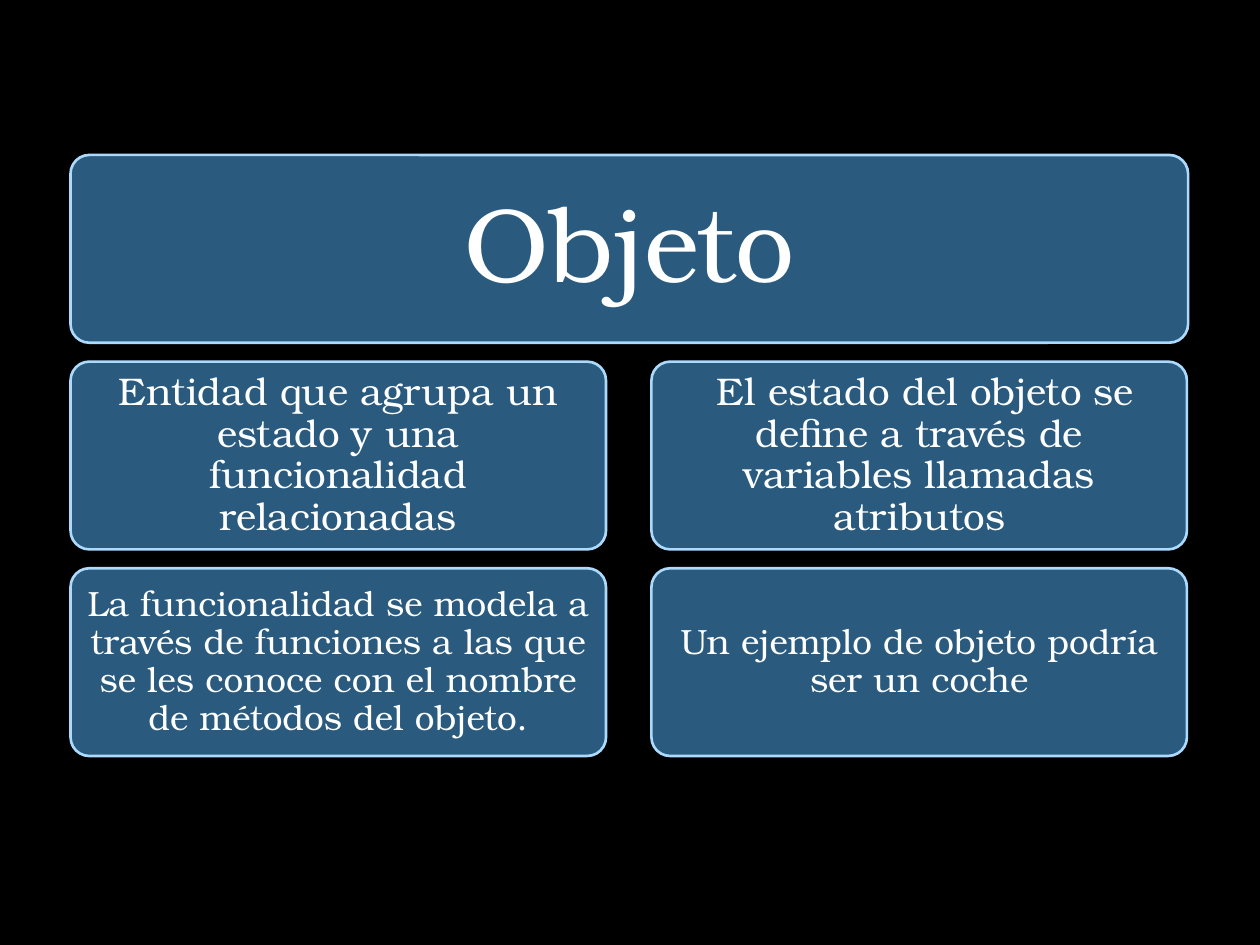
import pptx
import pptx.util
import pptx.dml.color
import pptx.enum.shapes
import pptx.enum.text

Inches = pptx.util.Inches
Pt = pptx.util.Pt


def paint(tone):
    return pptx.dml.color.RGBColor.from_string(tone)


deck = pptx.Presentation()
deck.slide_width = Inches(10)
deck.slide_height = Inches(7.5)
slide = deck.slides.add_slide(deck.slide_layouts[6])
slide.background.fill.solid()
slide.background.fill.fore_color.rgb = paint("000000")

left, top = 0.56, 1.23
across, down = 4.61, 1.64
wide, half, high = 8.87, 4.25, 1.49

cards = [
    (0, 0, wide, 60, 0.25, "Objeto"),
    (1, 0, half, 22, 0.09, "Entidad que agrupa un estado y una funcionalidad relacionadas"),
    (2, 0, half, 20, 0.08, "La funcionalidad se modela a través de funciones a las que "
                           "se les conoce con el nombre de métodos del objeto."),
    (1, 1, half, 22, 0.09, " El estado del objeto se define a través de variables llamadas atributos"),
    (2, 1, half, 20, 0.08, "Un ejemplo de objeto podría ser un coche"),
]

for row, col, width, size, inset, words in cards:
    card = slide.shapes.add_shape(
        pptx.enum.shapes.MSO_SHAPE.ROUNDED_RECTANGLE,
        Inches(left + col * across), Inches(top + row * down),
        Inches(width), Inches(high))
    card.adjustments[0] = 0.1
    card.shadow.inherit = False
    card.fill.solid()
    card.fill.fore_color.rgb = paint("2A5B7F")
    card.line.color.rgb = paint("ABDAFC")
    card.line.width = Pt(1.5)

    frame = card.text_frame
    frame.text = words
    frame.word_wrap = True
    frame.vertical_anchor = pptx.enum.text.MSO_ANCHOR.MIDDLE
    frame.margin_left = frame.margin_right = Inches(inset)
    frame.margin_top = frame.margin_bottom = Inches(inset)
    para = frame.paragraphs[0]
    para.alignment = pptx.enum.text.PP_ALIGN.CENTER
    para.line_spacing = 0.9
    font = para.runs[0].font
    font.name = "TeX Gyre Bonum"
    font.size = Pt(size)
    font.color.rgb = paint("FFFFFF")

deck.save("out.pptx")
